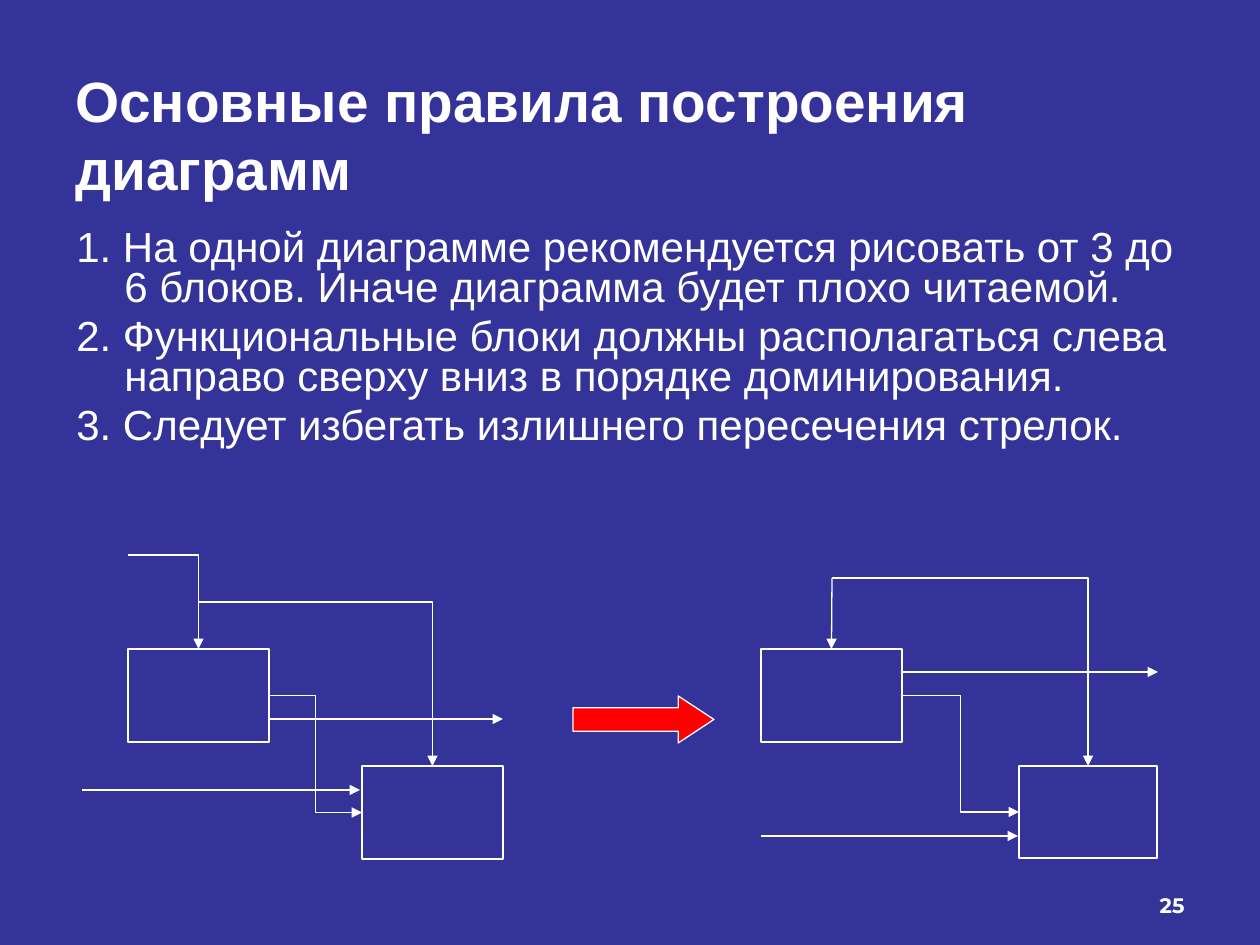
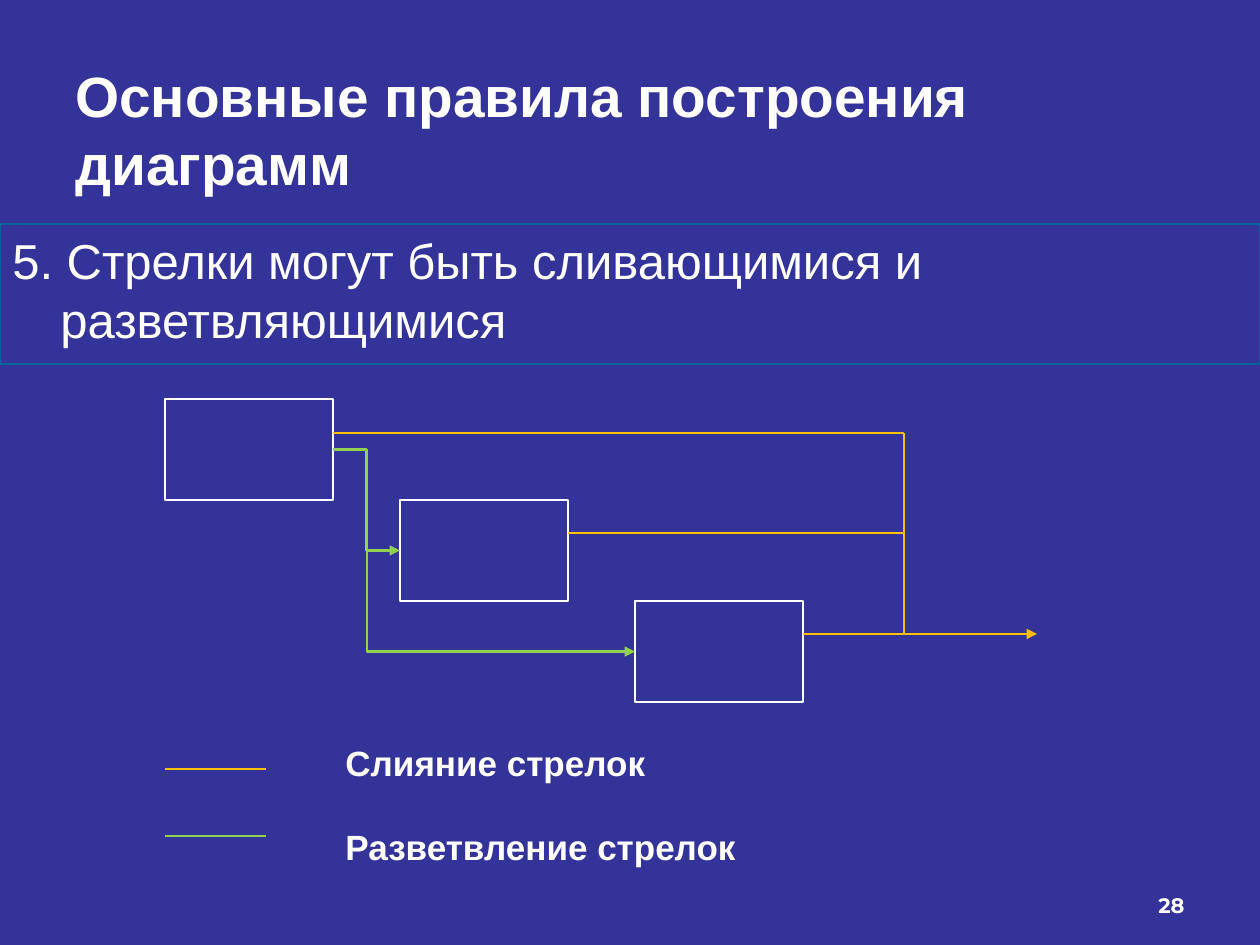
from pptx import Presentation
from pptx.dml.color import RGBColor
from pptx.enum.shapes import MSO_CONNECTOR as Link, MSO_SHAPE as Form
from pptx.enum.text import MSO_ANCHOR as Anchor, PP_ALIGN as Align
from pptx.oxml.ns import qn
from pptx.util import Pt
from lxml.etree import SubElement

SCALE = 914400 / 126
BACK, WHITE, RED = "333399", "FFFFFF", "FF0000"
TEAL, GOLD, GREEN = "006699", "FFC000", "92D050"
TITLE = "Основные правила построения диаграмм"
RULES = [
    "1. На одной диаграмме рекомендуется рисовать от 3 до 6 блоков. Иначе диаграмма будет плохо читаемой.",
    "2. Функциональные блоки должны располагаться слева направо сверху вниз в порядке доминирования.",
    "3. Следует избегать излишнего пересечения стрелок.",
]
FORKS = ["5. Стрелки могут быть сливающимися и разветвляющимися"]


def px(*nums):
    return [round(n * SCALE) for n in nums]


def tint(code):
    return RGBColor.from_string(code)


def text(slide, box, lines, size=24, font="Arial", bold=False, align=Align.LEFT,
         anchor=Anchor.TOP, hang=0, pitch=None, gap=0, edge=None):
    shape = slide.shapes.add_textbox(*px(*box))
    if edge:
        shape.line.color.rgb = tint(edge)
        shape.line.width = Pt(0.75)
    frame = shape.text_frame
    frame.word_wrap = True
    frame.vertical_anchor = anchor
    for i, line in enumerate(lines):
        par = frame.add_paragraph() if i else frame.paragraphs[0]
        par.alignment = align
        if hang:
            props = par._p.get_or_add_pPr()
            props.set("marL", str(px(hang)[0]))
            props.set("indent", str(px(-hang)[0]))
        if pitch:
            par.line_spacing = pitch
        par.space_before = Pt(gap if i else 0)
        run = par.add_run()
        run.text = line
        run.font.size = Pt(size)
        run.font.name = font
        run.font.bold = bold
        run.font.color.rgb = tint(WHITE)


def block(slide, box, width=0.75, form=Form.RECTANGLE, fill=None):
    shape = slide.shapes.add_shape(form, *px(*box))
    shape.shadow.inherit = False
    if fill:
        shape.fill.solid()
        shape.fill.fore_color.rgb = tint(fill)
    else:
        shape.fill.background()
    shape.line.color.rgb = tint(WHITE)
    shape.line.width = Pt(width)
    return shape


def wire(slide, base, start, end, kind="line", color=WHITE, width=0.75,
         head=True, bend=None, source=None, goal=None):
    left, top = base
    form = Link.STRAIGHT if kind == "line" else Link.ELBOW
    link = slide.shapes.add_connector(form, *px(
        left + start[0], top + start[1], left + end[0], top + end[1]))
    if source:
        link.begin_connect(*source)
    if goal:
        link.end_connect(*goal)
    props = link._element.spPr
    shape = props.find(qn("a:prstGeom"))
    if kind == "corner":
        shape.set("prst", "bentConnector2")
    if bend is not None:
        guide = SubElement(shape.find(qn("a:avLst")), qn("a:gd"))
        guide.set("name", "adj1")
        guide.set("fmla", f"val {bend}")
    link.line.color.rgb = tint(color)
    link.line.width = Pt(width)
    if head:
        SubElement(link.line._get_or_add_ln(), qn("a:tailEnd")).set("type", "triangle")
    SubElement(props, qn("a:effectLst"))


def page(deck, number, tall):
    slide = deck.slides.add_slide(deck.slide_layouts[6])
    slide.background.fill.solid()
    slide.background.fill.fore_color.rgb = tint(BACK)
    text(slide, (63, 63, 1134, tall), [TITLE], size=32.4, bold=True, anchor=Anchor.MIDDLE)
    text(slide, (903, 861, 294, 63), [str(number)], size=12, font="Montserrat",
         bold=True, align=Align.RIGHT, anchor=Anchor.BOTTOM)
    return slide


def before(slide, base):
    x, y = base
    first = block(slide, (x + 46, y + 94, 141, 93))
    last = block(slide, (x + 280, y + 211, 141, 93))
    wire(slide, base, (46, 0), (116, 94), "corner", goal=(first, 0))
    wire(slide, base, (116, 47), (351, 211), "corner", goal=(last, 0))
    wire(slide, base, (187, 141), (280, 258), "elbow", source=(first, 3), goal=(last, 1))
    wire(slide, base, (187, 164), (421, 164))
    wire(slide, base, (0, 235), (278, 235))


def after(slide, base):
    x, y = base
    first = block(slide, (x, y + 71, 141, 93))
    last = block(slide, (x + 258, y + 188, 138, 92))
    wire(slide, base, (71, 0), (71, 71), goal=(first, 0))
    wire(slide, base, (71, 0), (328, 188), "corner", goal=(last, 0))
    wire(slide, base, (141, 118), (258, 235), "elbow", source=(first, 3), goal=(last, 1))
    wire(slide, base, (141, 94), (397, 94))
    wire(slide, base, (0, 258), (257, 258))


def merge(slide, base):
    x, y = base
    steps = [block(slide, (x + 235 * i, y + 101 * i, 168, 101), 1.5) for i in range(3)]
    wire(slide, base, (168, 50), (235, 151), "elbow", GREEN, 1.5,
         source=(steps[0], 3), goal=(steps[1], 1))
    wire(slide, base, (202, 134), (470, 252), "elbow", GREEN, 1.5, bend=0, goal=(steps[2], 1))
    wire(slide, base, (638, 235), (872, 235), color=GOLD, width=1.5)
    for start, end in [((168, 34), (739, 34)), ((739, 34), (739, 235)), ((403, 134), (739, 134))]:
        wire(slide, base, start, end, color=GOLD, width=1.5, head=False)


def legend(slide, base):
    x, y = base
    for i, color in enumerate((GOLD, GREEN)):
        drop = 34 + 67 * i
        wire(slide, base, (0, drop), (101, drop), color=color, width=1.5, head=False)
    text(slide, (x + 168, y, 571, 134), ["Слияние стрелок", "Разветвление стрелок"],
         size=20, bold=True, gap=24)


def main():
    deck = Presentation()
    deck.slide_width, deck.slide_height = px(1260, 945)

    slide = page(deck, 25, 141)
    text(slide, (64, 224, 1134, 258), RULES, hang=48, pitch=0.8, gap=4.8)
    before(slide, (82, 555))
    after(slide, (761, 578))
    arrow = block(slide, (573, 696, 141, 47), form=Form.RIGHT_ARROW, fill=RED)
    arrow.adjustments[1] = 0.76

    slide = page(deck, 28, 131)
    text(slide, (0, 224, 1260, 140), FORKS, size=28, hang=48, edge=TEAL)
    merge(slide, (165, 399))
    legend(slide, (165, 735))

    deck.save("out.pptx")


if __name__ == "__main__":
    main()
